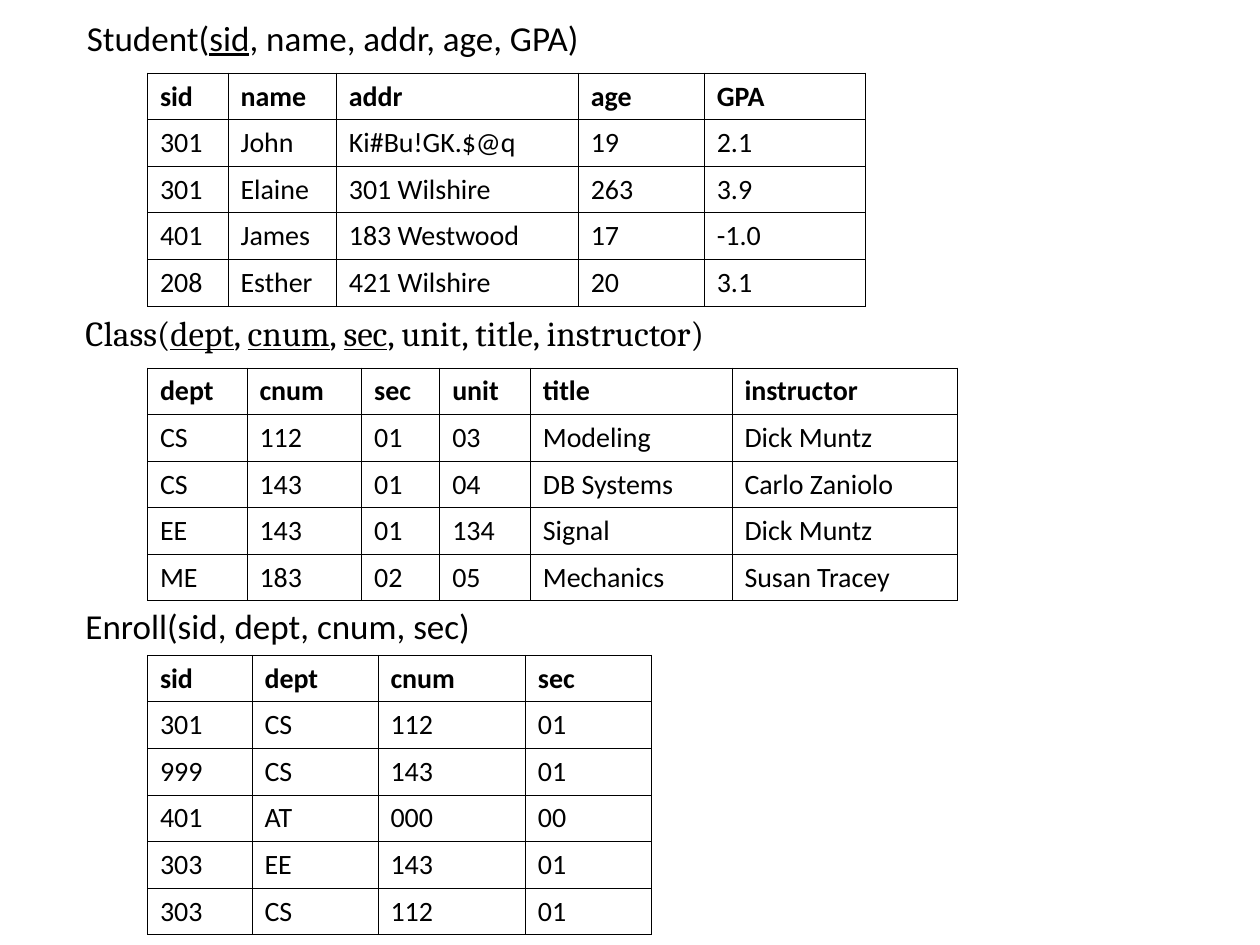
from dataclasses import dataclass
from itertools import groupby

from lxml import etree
from pptx import Presentation
from pptx import util as u
from pptx.dml.color import RGBColor
from pptx.enum import text
from pptx.oxml.ns import qn


@dataclass(frozen=True)
class Theme:
    ink: str = "000000"
    sans: str = "Calibri"
    serif: str = "Cambria"
    heading_size: int = 20
    cell_size: int = 16
    border: float = 0.45


@dataclass(frozen=True)
class Relation:
    """A schema heading with its table; lengths are in inches."""
    name: str
    attributes: list[str]
    keys: set[str]
    rows: list[list[str]]
    column_widths: list[float]
    heading_top: float
    heading_width: float
    table_top: float
    heading_font: str = "Calibri"
    heading_left: float = 0.58
    heading_wraps: bool = True


THEME = Theme()
SLIDE_WIDTH, SLIDE_HEIGHT = 10, 7.5
TABLE_LEFT = 1.17
HEADING_HEIGHT = 0.44
ROW_HEIGHT = 0.37

RELATIONS = [
    Relation(
        "Student", ["sid", "name", "addr", "age", "GPA"], {"sid"},
        [["301", "John", "Ki#Bu!GK.$@q", "19", "2.1"],
         ["301", "Elaine", "301 Wilshire", "263", "3.9"],
         ["401", "James", "183 Westwood", "17", "-1.0"],
         ["208", "Esther", "421 Wilshire", "20", "3.1"]],
        [0.64, 0.86, 1.92, 1, 1.28],
        heading_top=0.08, heading_width=4.15, table_top=0.58,
        heading_left=0.59, heading_wraps=False),
    Relation(
        "Class", ["dept", "cnum", "sec", "unit", "title", "instructor"],
        {"dept", "cnum", "sec"},
        [["CS", "112", "01", "03", "Modeling", "Dick Muntz"],
         ["CS", "143", "01", "04", "DB Systems", "Carlo Zaniolo"],
         ["EE", "143", "01", "134", "Signal", "Dick Muntz"],
         ["ME", "183", "02", "05", "Mechanics", "Susan Tracey"]],
        [0.79, 0.91, 0.62, 0.72, 1.6, 1.79],
        heading_top=2.42, heading_width=7.83, table_top=2.92,
        heading_font=THEME.serif),
    Relation(
        "Enroll", ["sid", "dept", "cnum", "sec"], set(),
        [["301", "CS", "112", "01"],
         ["999", "CS", "143", "01"],
         ["401", "AT", "000", "00"],
         ["303", "EE", "143", "01"],
         ["303", "CS", "112", "01"]],
        [0.83, 1, 1.17, 1],
        heading_top=4.75, heading_width=7.83, table_top=5.2),
]


def style_run(run, font: str, size: int, bold: bool = False) -> None:
    run.font.name = font
    run.font.size = u.Pt(size)
    run.font.bold = bold
    run.font.color.rgb = RGBColor.from_string(THEME.ink)


def schema_pieces(relation: Relation) -> list[tuple[str, bool]]:
    """Split the schema into runs of text, each with its underline flag."""
    pieces = [(f"{relation.name}(", False)]
    for index, attribute in enumerate(relation.attributes):
        if index:
            pieces.append((", ", False))
        pieces.append((attribute, attribute in relation.keys))
    pieces.append((")", False))
    return [("".join(words for words, _ in group), is_key)
            for is_key, group in groupby(pieces, key=lambda piece: piece[1])]


def add_heading(slide, relation: Relation) -> None:
    heading = slide.shapes.add_textbox(
        u.Inches(relation.heading_left), u.Inches(relation.heading_top),
        u.Inches(relation.heading_width), u.Inches(HEADING_HEIGHT))
    frame = heading.text_frame
    frame.word_wrap = relation.heading_wraps
    frame.auto_size = text.MSO_AUTO_SIZE.SHAPE_TO_FIT_TEXT
    for words, is_key in schema_pieces(relation):
        run = frame.paragraphs[0].add_run()
        run.text = words
        style_run(run, relation.heading_font, THEME.heading_size)
        run.font.underline = is_key


def add_borders(cell) -> None:
    properties = cell._tc.get_or_add_tcPr()
    for position, side in enumerate(("a:lnL", "a:lnR", "a:lnT", "a:lnB")):
        line = etree.Element(qn(side), w=str(u.Pt(THEME.border)))
        fill = etree.SubElement(line, qn("a:solidFill"))
        etree.SubElement(fill, qn("a:srgbClr"), val=THEME.ink)
        properties.insert(position, line)


def add_relation_table(slide, relation: Relation) -> None:
    records = [relation.attributes, *relation.rows]
    table = slide.shapes.add_table(
        len(records), len(relation.attributes),
        u.Inches(TABLE_LEFT), u.Inches(relation.table_top),
        u.Inches(sum(relation.column_widths)),
        u.Inches(ROW_HEIGHT * len(records))).table
    table.horz_banding = False
    for column, width in zip(table.columns, relation.column_widths):
        column.width = u.Inches(width)
    for row_index, record in enumerate(records):
        table.rows[row_index].height = u.Inches(ROW_HEIGHT)
        for column_index, value in enumerate(record):
            cell = table.cell(row_index, column_index)
            cell.text_frame.text = value
            style_run(cell.text_frame.paragraphs[0].runs[0],
                      THEME.sans, THEME.cell_size, bold=row_index == 0)
            cell.fill.background()
            add_borders(cell)


def main() -> None:
    deck = Presentation()
    deck.slide_width = u.Inches(SLIDE_WIDTH)
    deck.slide_height = u.Inches(SLIDE_HEIGHT)
    slide = deck.slides.add_slide(deck.slide_layouts[6])  # blank layout

    # Each relation: schema heading above its table
    for relation in RELATIONS:
        add_heading(slide, relation)
        add_relation_table(slide, relation)

    deck.save("out.pptx")


if __name__ == "__main__":
    main()
